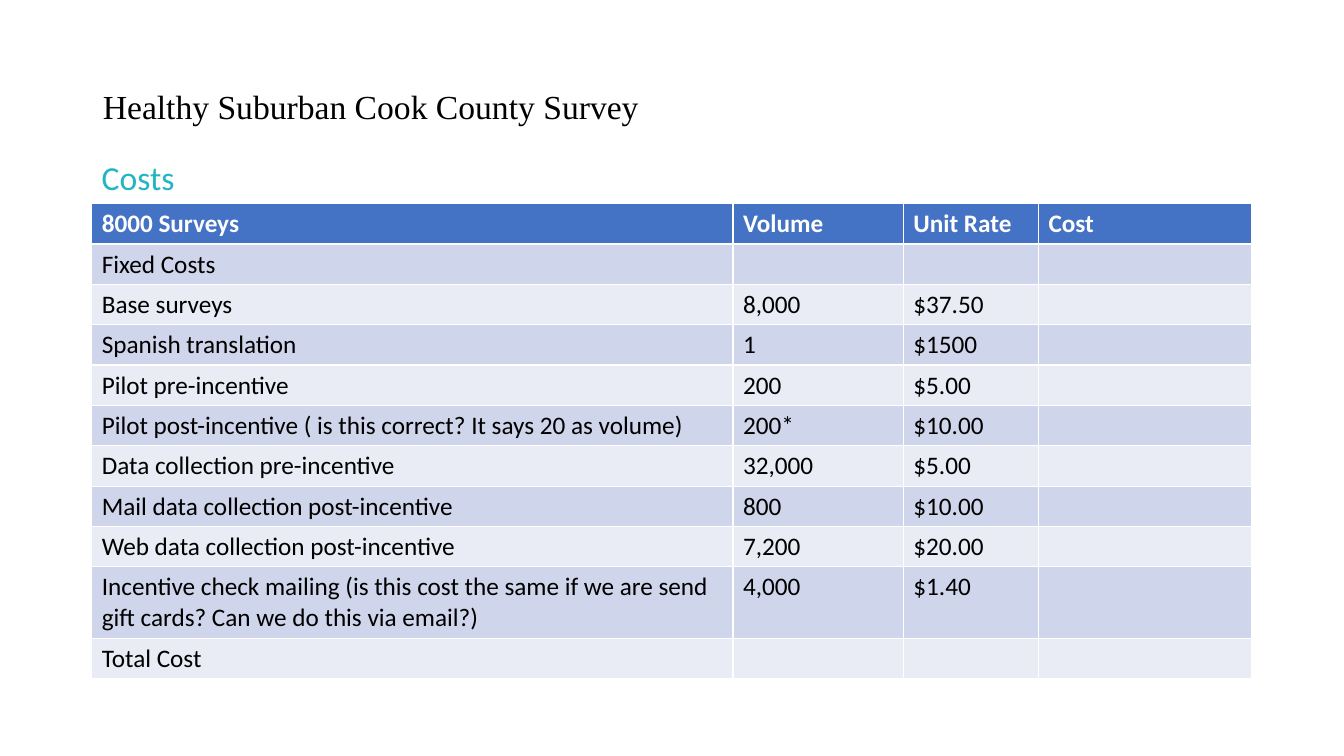
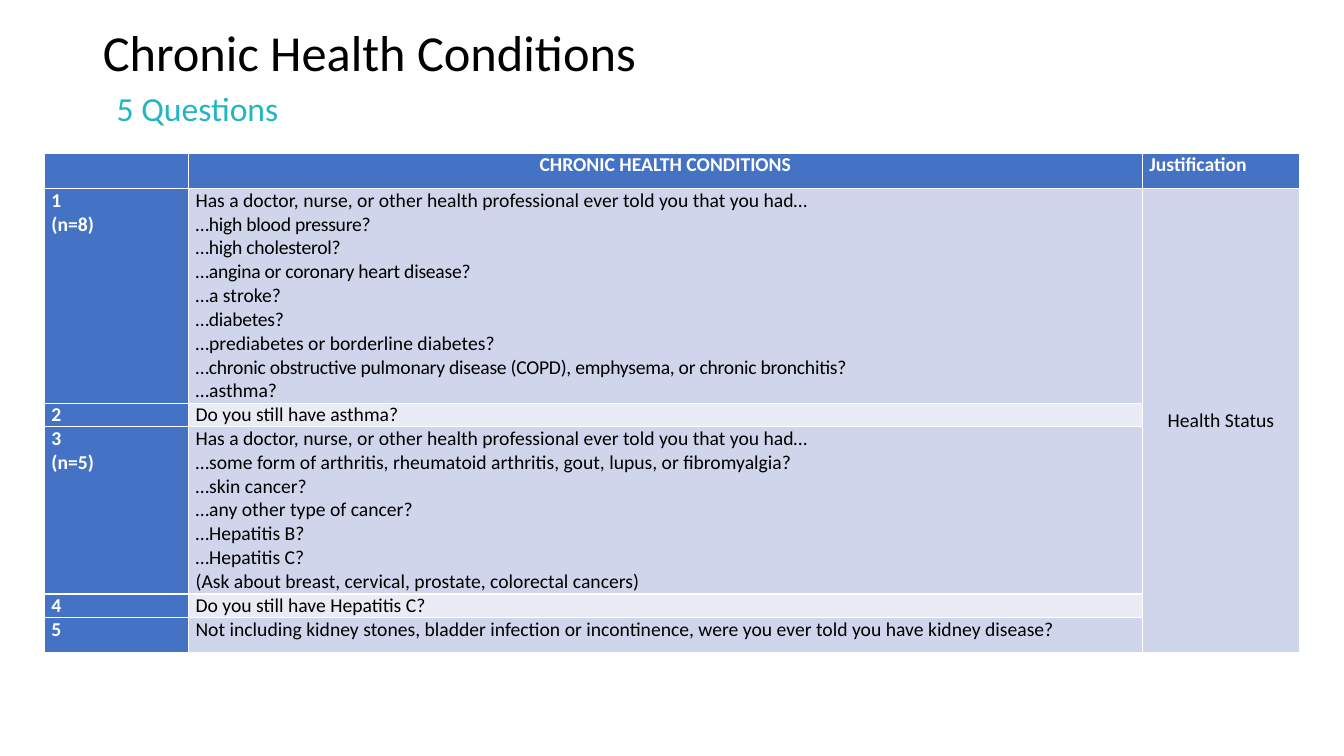
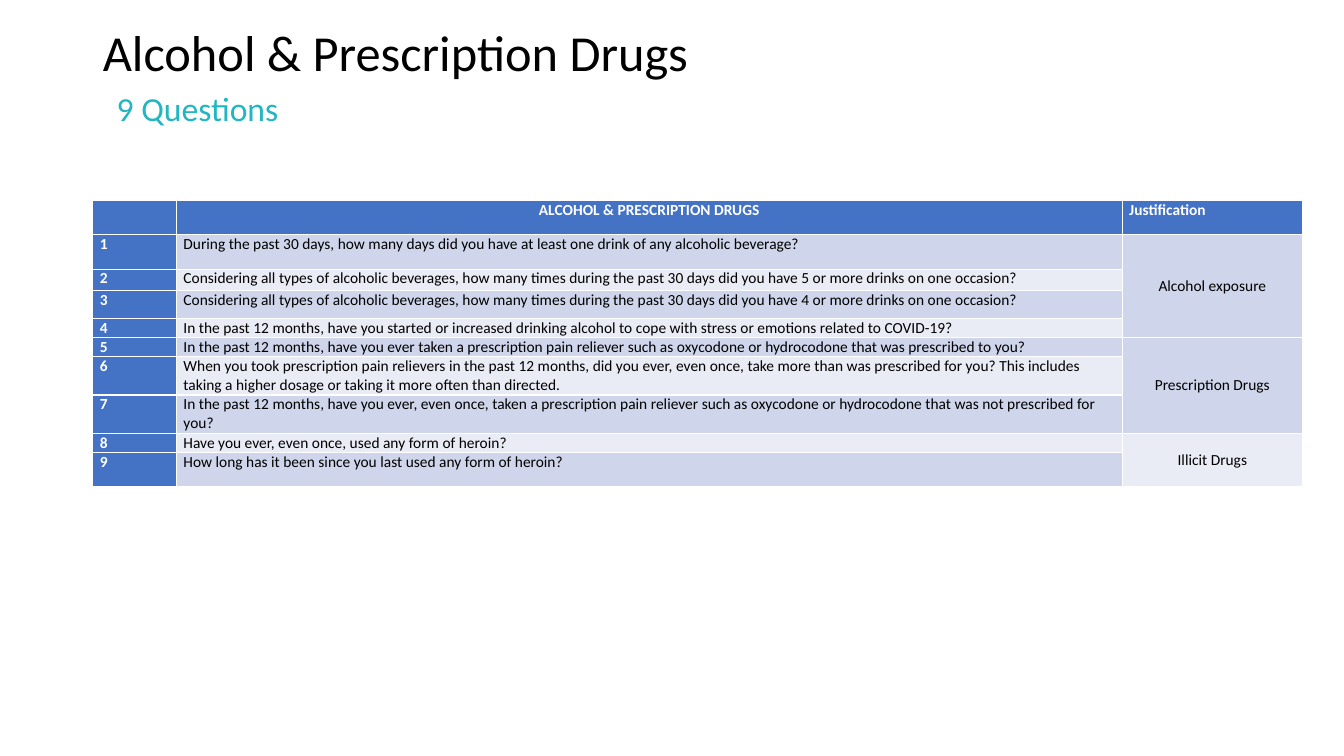
"""Three survey slides: a cost table and two question tables."""
from pptx import Presentation
from pptx.dml.color import RGBColor
from pptx.enum.text import MSO_ANCHOR, MSO_AUTO_SIZE, PP_ALIGN
from pptx.util import Inches, Pt

MIDDLE, TOP = MSO_ANCHOR.MIDDLE, MSO_ANCHOR.TOP
CENTER, LEFT = PP_ALIGN.CENTER, PP_ALIGN.LEFT
FIT = MSO_AUTO_SIZE.SHAPE_TO_FIT_TEXT
COLORS = {"title": "000000", "subtitle": "21B6C1", "header": "4472C4",
          "odd": "CFD5EA", "even": "E9EBF5", "white": "FFFFFF", "text": "000000"}
FONT = "Calibri"


def rgb(name):
    return RGBColor.from_string(COLORS[name])


def set_heading(sp, text, box, size, font, color, anchor):
    sp.left, sp.top, sp.width, sp.height = [Inches(v) for v in box]
    tf = sp.text_frame
    tf.text = text
    tf.word_wrap = False
    tf.auto_size = FIT
    tf.vertical_anchor = anchor
    p = tf.paragraphs[0]
    p.alignment = LEFT
    p.line_spacing = 0.9
    f = p.runs[0].font
    f.size, f.name, f.color.rgb = Pt(size), font, rgb(color)


costs = [
    ["8000 Surveys", "Volume", "Unit Rate", "Cost"],
    ["Fixed Costs", "", "", ""],
    ["Base surveys", "8,000", "$37.50", ""],
    ["Spanish translation", "1", "$1500", ""],
    ["Pilot pre-incentive", "200", "$5.00", ""],
    ["Pilot post-incentive ( is this correct? It says 20 as volume)", "200*", "$10.00", ""],
    ["Data collection pre-incentive", "32,000", "$5.00", ""],
    ["Mail data collection post-incentive", "800", "$10.00", ""],
    ["Web data collection post-incentive", "7,200", "$20.00", ""],
    ["Incentive check mailing (is this cost the same if we are send gift cards? "
     "Can we do this via email?)", "4,000", "$1.40", ""],
    ["Total Cost", "", "", ""],
]

told = "Has a doctor, nurse, or other health professional ever told you that you had…"
chronic = [
    ["", "CHRONIC HEALTH CONDITIONS", "Justification"],
    ["1\n(n=8)", "\n".join([
        told, "…high blood pressure?", "…high cholesterol?",
        "…angina or coronary heart disease?", "…a stroke?", "…diabetes?",
        "…prediabetes or borderline diabetes?",
        "…chronic obstructive pulmonary disease (COPD), emphysema, or chronic bronchitis?",
        "…asthma?"]), "Health Status"],
    ["2", "Do you still have asthma?", ""],
    ["3\n(n=5)", "\n".join([
        told, "…some form of arthritis, rheumatoid arthritis, gout, lupus, or fibromyalgia?",
        "…skin cancer?", "…any other type of cancer?", "…Hepatitis B?", "…Hepatitis C?",
        "(Ask about breast, cervical, prostate, colorectal cancers)"]), ""],
    ["4", "Do you still have Hepatitis C?", ""],
    ["5", "Not including kidney stones, bladder infection or incontinence, "
     "were you ever told you have kidney disease?", ""],
]

drinks = ("Considering all types of alcoholic beverages, how many times during the past 30 days "
          "did you have {} or more drinks on one occasion?")
alcohol = [
    ["", "ALCOHOL & PRESCRIPTION DRUGS", "Justification"],
    ["1", "During the past 30 days, how many days did you have at least one drink "
     "of any alcoholic beverage?", "Alcohol exposure"],
    ["2", drinks.format(5), ""],
    ["3", drinks.format(4), ""],
    ["4", "In the past 12 months, have you started or increased drinking alcohol to cope "
     "with stress or emotions related to COVID-19?", ""],
    ["5", "In the past 12 months, have you ever taken a prescription pain reliever such as "
     "oxycodone or hydrocodone that was prescribed to you?", "Prescription Drugs"],
    ["6", "When you took prescription pain relievers in the past 12 months, did you ever, "
     "even once, take more than was prescribed for you? This includes taking a higher dosage "
     "or taking it more often than directed.", ""],
    ["7", "In the past 12 months, have you ever, even once, taken a prescription pain reliever "
     "such as oxycodone or hydrocodone that was not prescribed for you?", ""],
    ["8", "Have you ever, even once, used any form of heroin?", "Illicit Drugs"],
    ["9", "How long has it been since you last used any form of heroin?", ""],
]

slides = [
    {"title": "Healthy Suburban Cook County Survey", "title_box": (0.92, 0.85, 5.57, 0.46),
     "title_size": 24, "title_font": "Times New Roman",
     "subtitle": "Costs", "subtitle_box": (0.91, 1.55, 1.06, 0.46),
     "at": (0.91, 2.02), "cols": [6.36, 1.69, 1.34, 2.11],
     "heights": [0.4] * 9 + [0.71, 0.4],
     "rows": costs, "size": 18, "questions": False, "spans": [], "tight": []},
    {"title": "Chronic Health Conditions", "title_box": (0.92, 0.22, 6.06, 0.65),
     "title_size": 36, "title_font": FONT,
     "subtitle": "5 Questions", "subtitle_box": (1.06, 0.87, 2, 0.46),
     "at": (0.44, 1.52), "cols": [1.43, 9.46, 1.56],
     "heights": [0.35, 2.13, 0.23, 1.66, 0.17, 0.35],
     "rows": chronic, "size": 14, "questions": True, "spans": [(1, 5)],
     "tight": [1, 2, 3, 5, 7]},
    {"title": "Alcohol & Prescription Drugs", "title_box": (0.92, 0.22, 6.61, 0.65),
     "title_size": 36, "title_font": FONT,
     "subtitle": "9 Questions", "subtitle_box": (1.06, 0.87, 2, 0.46),
     "at": (0.92, 1.99), "cols": [0.83, 9.38, 1.79],
     "heights": [0.34, 0.34, 0.21, 0.28, 0.19, 0.19, 0.38, 0.38, 0.19, 0.34],
     "rows": alcohol, "size": 11, "questions": True, "spans": [(1, 4), (5, 7), (8, 9)],
     "tight": []},
]

prs = Presentation()
prs.slide_width, prs.slide_height = Inches(13.33), Inches(7.5)

for d in slides:
    s = prs.slides.add_slide(prs.slide_layouts[5])
    set_heading(s.shapes.title, d["title"], d["title_box"], d["title_size"],
                d["title_font"], "title", MIDDLE)
    sp = s.shapes.add_textbox(0, 0, 0, 0)
    set_heading(sp, d["subtitle"], d["subtitle_box"], 24, FONT, "subtitle", TOP)

    left, top = d["at"]
    table = s.shapes.add_table(len(d["rows"]), len(d["cols"]), Inches(left), Inches(top),
                               Inches(sum(d["cols"])), Inches(sum(d["heights"]))).table
    for col, width in zip(table.columns, d["cols"]):
        col.width = Inches(width)
    for row, height in zip(table.rows, d["heights"]):
        row.height = Inches(height)

    for i, texts in enumerate(d["rows"]):
        for j, text in enumerate(texts):
            cell = table.cell(i, j)
            header = i == 0 or (d["questions"] and j == 0)
            centered = d["questions"] and (i, j) != (0, 2) and (j == 2 or (i, j) == (0, 1))
            cell.fill.solid()
            cell.fill.fore_color.rgb = rgb("header" if header else "odd" if i % 2 else "even")
            if d["questions"]:
                cell.margin_left = cell.margin_right = Inches(0.07)
                cell.margin_top = cell.margin_bottom = 0
                cell.vertical_anchor = MIDDLE if i and j == 2 else TOP
            cell.text_frame.text = text
            for p in cell.text_frame.paragraphs:
                p.alignment = CENTER if centered else LEFT
                if not text:
                    p._p.get_or_add_endParaRPr().set("sz", str(d["size"] * 100))
                for r in p.runs:
                    r.font.size, r.font.name, r.font.bold = Pt(d["size"]), FONT, header
                    r.font.color.rgb = rgb("white" if header else "text")

    for first, last in d["spans"]:
        table.cell(first, 2).merge(table.cell(last, 2))
    for i in d["tight"]:
        r = table.cell(1, 1).text_frame.paragraphs[i].runs[0]
        r._r.get_or_add_rPr().set("spc", "-20")

prs.save("out.pptx")
